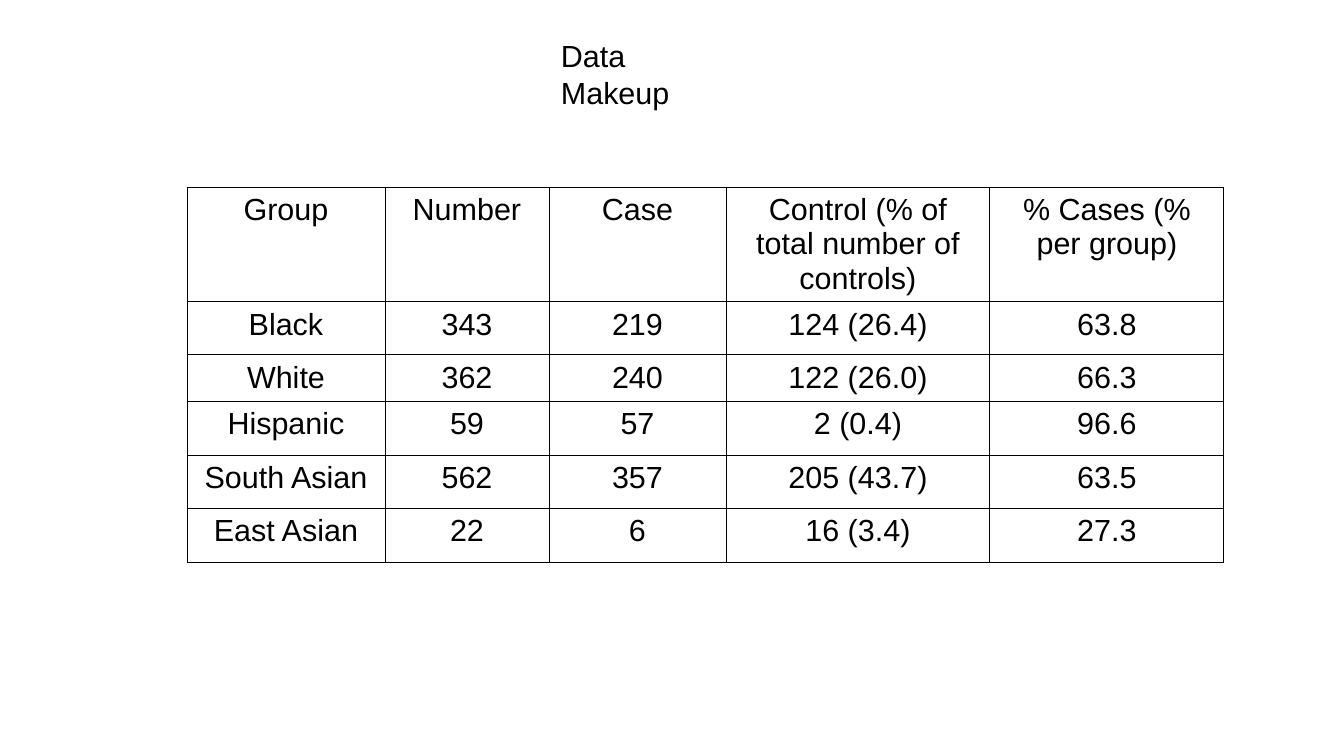
"""Builds the Data Makeup slide: a title above a table of group counts."""
from dataclasses import dataclass

from lxml import etree
from pptx import Presentation
from pptx.dml.color import RGBColor
from pptx.enum.text import MSO_AUTO_SIZE, PP_ALIGN
from pptx.oxml.ns import qn
from pptx.util import Pt

LEFT, CENTER = PP_ALIGN.LEFT, PP_ALIGN.CENTER
FIT_SHAPE = MSO_AUTO_SIZE.SHAPE_TO_FIT_TEXT
PX_PER_INCH = 122
BORDERS = ("a:lnL", "a:lnR", "a:lnT", "a:lnB")

ROWS = [
    ("Group", "Number", "Case", "Control (% of total number of controls)", "% Cases (% per group)"),
    ("Black", "343", "219", "124 (26.4)", "63.8"),
    ("White", "362", "240", "122 (26.0)", "66.3"),
    ("Hispanic", "59", "57", "2 (0.4)", "96.6"),
    ("South Asian", "562", "357", "205 (43.7)", "63.5"),
    ("East Asian", "22", "6", "16 (3.4)", "27.3"),
]
COL_WIDTHS = (198, 164, 177, 264, 234)
ROW_HEIGHTS = (114, 53, 46, 54, 53, 54)


@dataclass(frozen=True)
class Theme:
    font: str = "Arial"
    size: int = 18
    ink: str = "000000"
    border: float = 0.57


def px(n):
    return round(n * 914400 / PX_PER_INCH)


def write(tf, text, theme, align=LEFT):
    p = tf.paragraphs[0]
    p.alignment = align
    r = p.add_run()
    r.text = text
    r.font.name = theme.font
    r.font.size = Pt(theme.size)
    r.font.color.rgb = RGBColor.from_string(theme.ink)


class SlideBuilder:
    def __init__(self, slide, theme):
        self.s = slide
        self.theme = theme

    def text(self, text, x, y, w, h):
        tf = self.s.shapes.add_textbox(px(x), px(y), px(w), px(h)).text_frame
        tf.word_wrap = False
        tf.auto_size = FIT_SHAPE
        write(tf, text, self.theme)

    def outline(self, cell):
        tc_pr = cell._tc.get_or_add_tcPr()
        for tag in BORDERS:
            ln = etree.SubElement(tc_pr, qn(tag), w=str(Pt(self.theme.border)))
            fill = etree.SubElement(ln, qn("a:solidFill"))
            etree.SubElement(fill, qn("a:srgbClr"), val=self.theme.ink)

    def table(self, rows, x, y, widths, heights):
        table = self.s.shapes.add_table(
            len(rows), len(widths), px(x), px(y), px(sum(widths)), px(sum(heights))
        ).table
        table.first_row = False
        table.horz_banding = False
        for column, width in zip(table.columns, widths):
            column.width = px(width)
        for row, height, values in zip(table.rows, heights, rows):
            row.height = px(height)
            for cell, value in zip(row.cells, values):
                write(cell.text_frame, value, self.theme, align=CENTER)
                self.outline(cell)
                cell.fill.background()


def main():
    prs = Presentation()
    prs.slide_width, prs.slide_height = px(1344), px(756)
    slide = SlideBuilder(prs.slides.add_slide(prs.slide_layouts[6]), Theme())
    slide.table(ROWS, 187, 187, COL_WIDTHS, ROW_HEIGHTS)
    slide.text("Data Makeup", 549, 31, 205, 46)
    prs.save("out.pptx")


if __name__ == "__main__":
    main()
